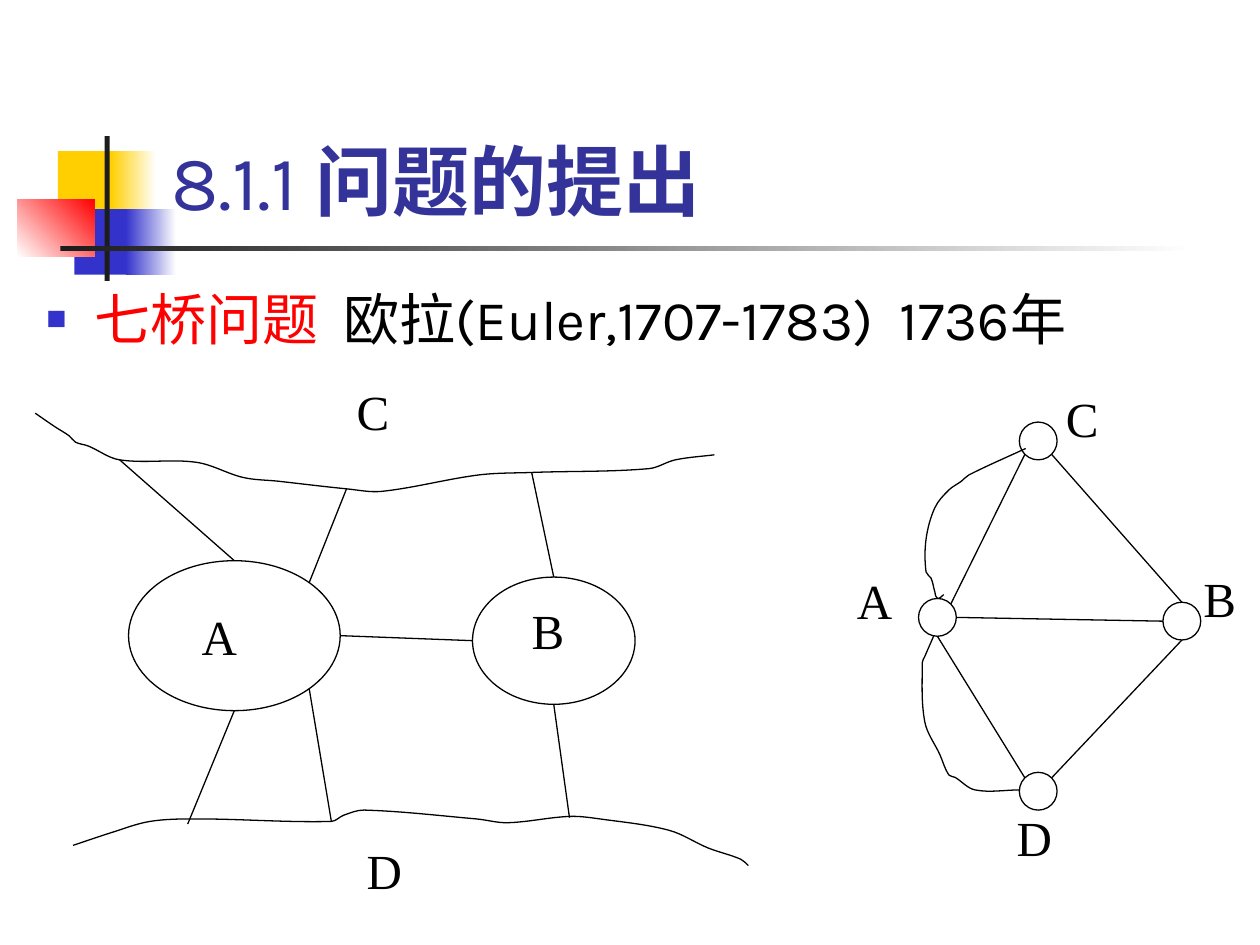
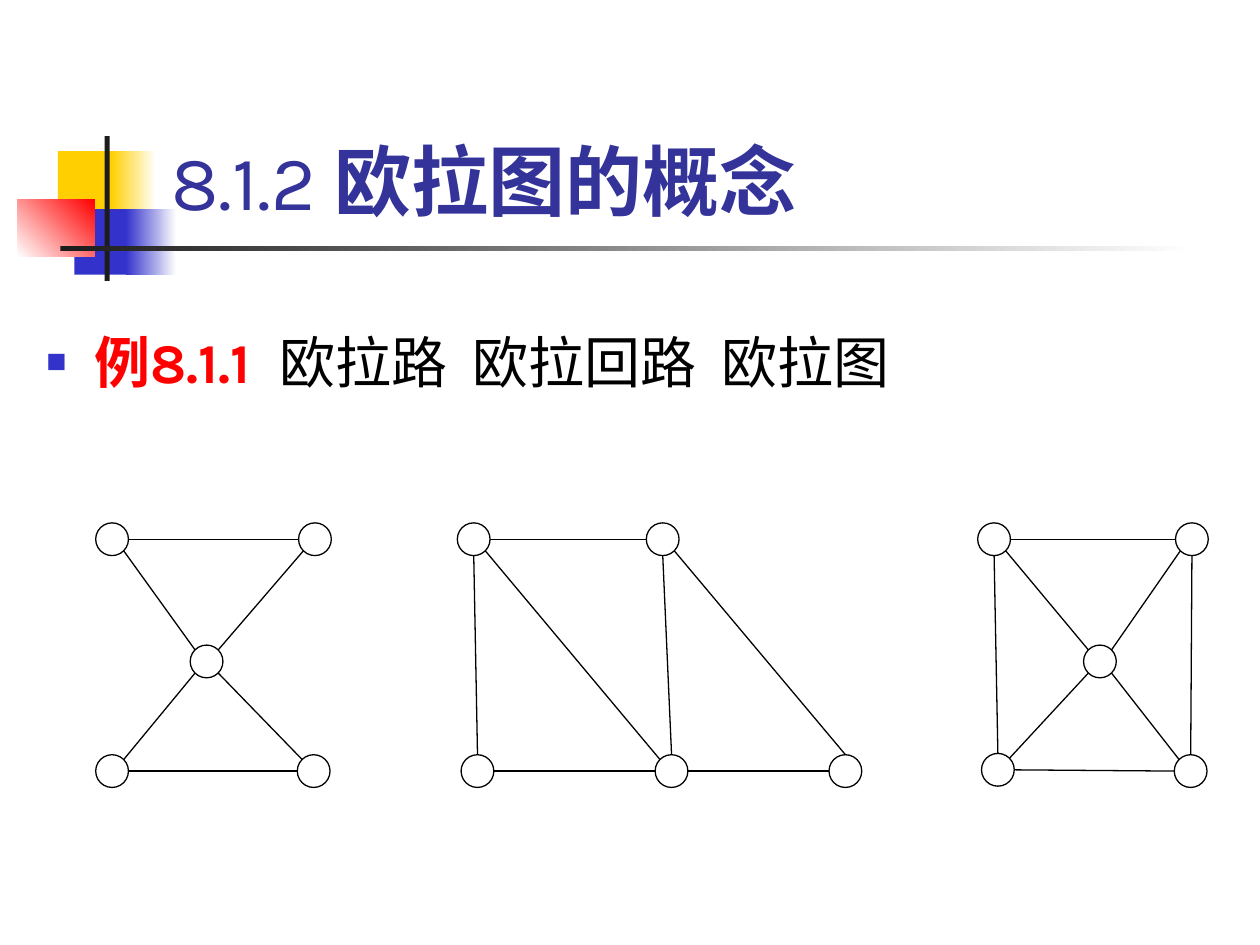
from lxml.etree import SubElement
from pptx import Presentation
from pptx.dml.color import RGBColor
from pptx.enum.shapes import MSO_CONNECTOR, MSO_SHAPE
from pptx.enum.text import MSO_ANCHOR, PP_ALIGN
from pptx.oxml.ns import qn
from pptx.util import Inches, Pt

BLACK, WHITE, RED = "000000", "FFFFFF", "FF0000"
GOLD, BLUE, NAVY, DARK = "FFCF01", "3333CC", "333399", "1C1C1C"
SANS, SERIF = "Karla", "Times New Roman"
THIN = 0.75
WAYS = {"n": -1j, "s": 1j, "e": 1, "w": -1}


def rgb(code):
    """Turn a hex string into a colour."""
    return RGBColor.from_string(code)


def stroke(item, color=BLACK):
    """Give a shape or connector a thin line."""
    item.line.color.rgb = rgb(color)
    item.line.width = Pt(THIN)


def shape(slide, kind, box, fill, line=None):
    """Draw a preset shape with a plain or two-stop fill."""
    item = slide.shapes.add_shape(kind, *map(Inches, box))
    item.shadow.inherit = False
    if isinstance(fill, str):
        item.fill.solid()
        item.fill.fore_color.rgb = rgb(fill)
    else:
        first, last, angle = fill
        item.fill.gradient()
        item.fill.gradient_angle = angle
        for stop, code in zip(item.fill.gradient_stops, (first, last)):
            stop.color.rgb = rgb(code)
    if line:
        stroke(item, line)
    else:
        item.line.fill.background()
    return item


def write(para, text, size, color, bold=False, font=SANS):
    """Add one run to a paragraph."""
    run = para.add_run()
    run.text = text
    run.font.name = font
    run.font.size = Pt(size)
    run.font.bold = bold
    run.font.color.rgb = rgb(color)


def label(slide, text, box):
    """Write a letter on a white box."""
    item = shape(slide, MSO_SHAPE.RECTANGLE, box, WHITE, WHITE)
    frame = item.text_frame
    frame.vertical_anchor = MSO_ANCHOR.TOP
    frame.margin_left = frame.margin_right = Inches(0.11)
    frame.margin_top = frame.margin_bottom = Inches(0.06)
    para = frame.paragraphs[0]
    para.alignment = PP_ALIGN.LEFT
    write(para, text, 28, BLACK, font=SERIF)


def oval(slide, box):
    """Draw a white oval with a thin outline."""
    shape(slide, MSO_SHAPE.OVAL, box, WHITE, BLACK)


def link(slide, start, end):
    """Draw a thin straight line between two points."""
    ends = [Inches(v) for p in (start, end) for v in (p.real, p.imag)]
    item = slide.shapes.add_connector(MSO_CONNECTOR.STRAIGHT, *ends)
    stroke(item)
    SubElement(item.element.spPr, qn("a:effectLst"))


def site(box, ways):
    """Find the point of an oval that lies at a compass direction."""
    left, top, width, height = box
    step = sum(WAYS[way] for way in ways)
    step /= abs(step)
    return complex(left + width * (1 + step.real) / 2,
                   top + height * (1 + step.imag) / 2)


def curve(slide, x, y, spots):
    """Draw a smooth open line through points given from x, y."""
    knots = [complex(x + dx, y + dy) for dx, dy in spots]
    padded = [knots[0], *knots, knots[-1]]
    slopes = [(b - a) / abs(b - a) for a, b in zip(padded, padded[2:])]
    trace = [knots[0]]
    for i, (a, b) in enumerate(zip(knots, knots[1:])):
        reach = abs(b - a) / 3
        trace += [a + slopes[i] * reach, b - slopes[i + 1] * reach, b]
    dots = [(Inches(p.real), Inches(p.imag)) for p in trace]
    pen = slide.shapes.build_freeform(*dots[0])
    pen.add_line_segments(dots[1:], close=False)
    item = pen.convert_to_shape()
    bend(item)
    item.shadow.inherit = False
    item.fill.background()
    stroke(item)


def bend(item):
    """Turn every three straight segments into one cubic curve."""
    legs = list(item.element.iter(qn("a:lnTo")))
    for trio in zip(legs[::3], legs[1::3], legs[2::3]):
        track = trio[0].getparent()
        arc = SubElement(track, qn("a:cubicBezTo"))
        for leg in trio:
            arc.append(leg[0])
            track.remove(leg)


def graph(slide, x, y, size, nodes, edges):
    """Draw round nodes and edges such as 'Ae Bw' from x, y."""
    boxes = {name: (x + dx, y + dy, size, size)
             for name, (dx, dy) in nodes.items()}
    for box in boxes.values():
        oval(slide, box)
    for edge in edges:
        link(slide, *(site(boxes[end[0]], end[1:]) for end in edge.split()))


def base(deck, number, title, top, space, lead, rest):
    """Add a slide with its ornament, title and bullet line."""
    slide = deck.slides.add_slide(deck.slide_layouts[6])
    for box, fill in (
        ((0.46, 1.2, 0.48, 0.52), GOLD),
        ((0.88, 1.2, 0.36, 0.52), (GOLD, WHITE, 0)),
        ((0.59, 1.66, 0.46, 0.52), BLUE),
        ((1, 1.66, 0.4, 0.52), (BLUE, WHITE, 0)),
        ((0.14, 1.58, 0.61, 0.46), (WHITE, RED, 45)),
        ((0.83, 1.08, 0.04, 1.15), DARK),
        ((0.48, 1.95, 9, 0.04), (DARK, WHITE, 0)),
    ):
        shape(slide, MSO_SHAPE.RECTANGLE, box, fill)

    def text(box, anchor):
        """Add a wrapped text box and return its paragraph."""
        frame = slide.shapes.add_textbox(*map(Inches, box)).text_frame
        frame.word_wrap = True
        frame.vertical_anchor = anchor
        return frame.paragraphs[0]

    head = text((1.26, 0.24, 8.52, 1.6), MSO_ANCHOR.BOTTOM)
    write(head, number, 44, NAVY)
    write(head, title, 44, NAVY, True)
    para = text((0.27, top, 9.73, 7.5 - top), MSO_ANCHOR.TOP)
    para.line_spacing = space
    para.space_before = Pt(8)
    bullet(para)
    write(para, *lead)
    write(para, rest, 32, BLACK)
    return slide


def bullet(para):
    """Give a paragraph a small square bullet and hanging indent."""
    props = para._p.get_or_add_pPr()
    props.set("marL", str(Inches(0.38)))
    props.set("indent", str(-Inches(0.38)))
    tint = SubElement(props, qn("a:buClr"))
    SubElement(tint, qn("a:srgbClr"), val=BLUE)
    SubElement(props, qn("a:buSzPct"), val="60000")
    SubElement(props, qn("a:buFont"), typeface=SERIF)
    SubElement(props, qn("a:buChar"), char="■")


def town(slide, x, y):
    """Draw the river banks, islands and seven bridges from x, y."""
    isles = {"A": (x + 0.74, y + 1.48, 1.68, 1.19),
             "B": (x + 3.47, y + 1.61, 1.29, 1.01)}
    for box in isles.values():
        oval(slide, box)
    curve(slide, x, y + 0.31, [
        (0, 0), (0.16, 0.11), (0.27, 0.18), (0.32, 0.23), (0.42, 0.26),
        (0.67, 0.37), (1.28, 0.39), (1.65, 0.51), (1.93, 0.54),
        (2.47, 0.6), (2.75, 0.62), (3.52, 0.49), (3.94, 0.47),
        (4.87, 0.44), (5.08, 0.37), (5.39, 0.33)])
    curve(slide, x + 0.3, y + 3.46, [
        (0, 0.28), (0.3, 0.18), (0.61, 0.09), (0.98, 0.07), (2.05, 0.09),
        (2.15, 0.04), (2.31, 0), (3.2, 0.07), (3.45, 0.1), (3.94, 0.05),
        (4.18, 0.07), (4.73, 0.16), (5.04, 0.3), (5.3, 0.39),
        (5.36, 0.44)])
    for name, ways, dx, dy in (
        ("A", "n", 0.67, 0.68), ("A", "ne", 2.47, 0.91),
        ("A", "s", 1.21, 3.57), ("A", "se", 2.35, 3.55),
        ("B", "n", 3.94, 0.78), ("B", "s", 4.24, 3.52),
    ):
        link(slide, site(isles[name], ways), complex(x + dx, y + dy))
    link(slide, site(isles["A"], "e"), site(isles["B"], "w"))
    for name, dx, dy, width, height in (
        ("B", 3.83, 1.74, 0.62, 0.73), ("A", 1.21, 1.78, 0.87, 0.72),
        ("D", 2.52, 3.64, 0.87, 0.7), ("C", 2.44, 0, 0.87, 0.75),
    ):
        label(slide, name, (x + dx, y + dy, width, height))


def model(slide, x, y):
    """Draw the four-node graph of the bridges from x, y."""
    for name, dx, dy, width in (
        ("C", 1.06, -0.33, 0.87), ("B", 2.15, 1.1, 0.56),
        ("A", -0.6, 1.12, 0.87), ("D", 0.67, 3, 0.87),
    ):
        label(slide, name, (x + dx, y + dy, width, 0.85))
    graph(slide, x, y, 0.3,
          {"A": (0, 1.4), "B": (1.94, 1.43), "C": (0.8, 0), "D": (0.8, 2.78)},
          ["Csw Ane", "As Dnw", "Ae Bw", "Cse Bn", "Bs Dne"])
    curve(slide, x, y, [
        (0.85, 0.21), (0.4, 0.42), (0.34, 0.47), (0.24, 0.54),
        (0.13, 0.68), (0.06, 0.93), (0.06, 1.19), (0.1, 1.24),
        (0.13, 1.35), (0.15, 1.4), (0.2, 1.37)])
    curve(slide, x, y, [
        (0.12, 1.7), (0.05, 1.86), (0.03, 1.91), (0.05, 2.38),
        (0.17, 2.64), (0.24, 2.8), (0.29, 2.82), (0.45, 2.92),
        (0.8, 2.92)])


def trio(slide, y):
    """Draw the three example graphs in a row at y."""
    cross = ["ae bw", "de ew", "ase cnw", "cse enw", "bsw cne", "csw dne"]
    for x, spots, edges in (
        (0.76, [(0, 0), (1.61, 0), (0.75, 0.97), (0, 1.84), (1.6, 1.84)],
         cross),
        (3.63, [(0, 0), (1.5, 0), (0.03, 1.84), (1.57, 1.84), (2.95, 1.84)],
         ["ae bw", "ce dw", "as cn", "bs dn", "ase dnw", "de ew", "bse en"]),
        (7.76, [(0, 0), (1.57, 0), (0.84, 0.97), (0.03, 1.83), (1.56, 1.84)],
         cross + ["as dn", "bs en"]),
    ):
        graph(slide, x, y, 0.26, dict(zip("abcde", spots)), edges)


def main():
    """Build both slides and save the deck."""
    deck = Presentation()
    deck.slide_width, deck.slide_height = Inches(10), Inches(7.5)
    slide = base(deck, "8.1.1 ", "问题的提出", 1.94, 1.5,
                 ("七桥问题  ", 32, RED), "欧拉(Euler,1707-1783)  1736年")
    model(slide, 7.29, 3.35)
    town(slide, 0.28, 2.97)
    slide = base(deck, "8.1.2 ", "欧拉图的概念", 2.02, 2.0,
                 ("例8.1.1  ", 32, RED, True), "欧拉路  欧拉回路  欧拉图")
    trio(slide, 4.15)
    deck.save("out.pptx")


if __name__ == "__main__":
    main()
